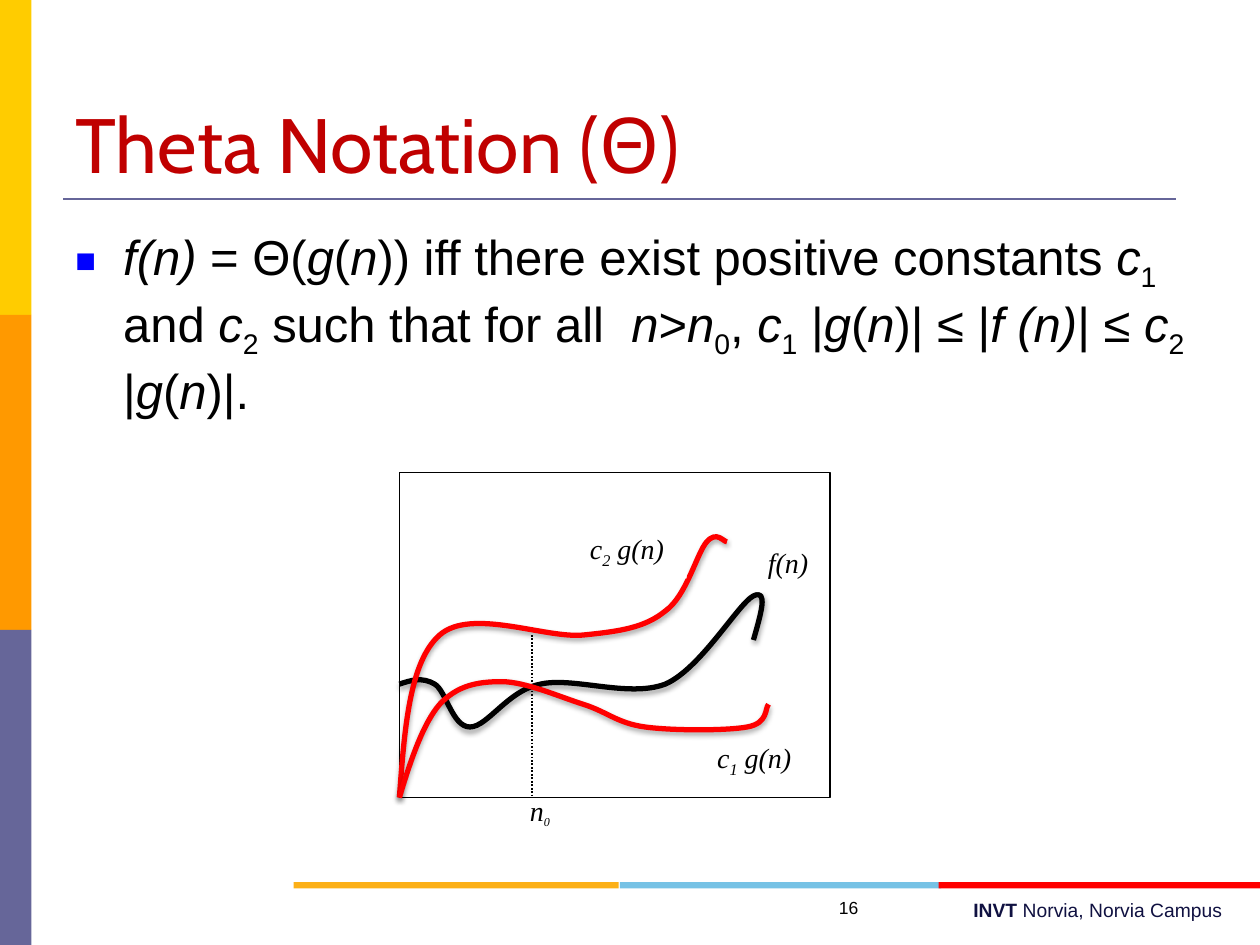
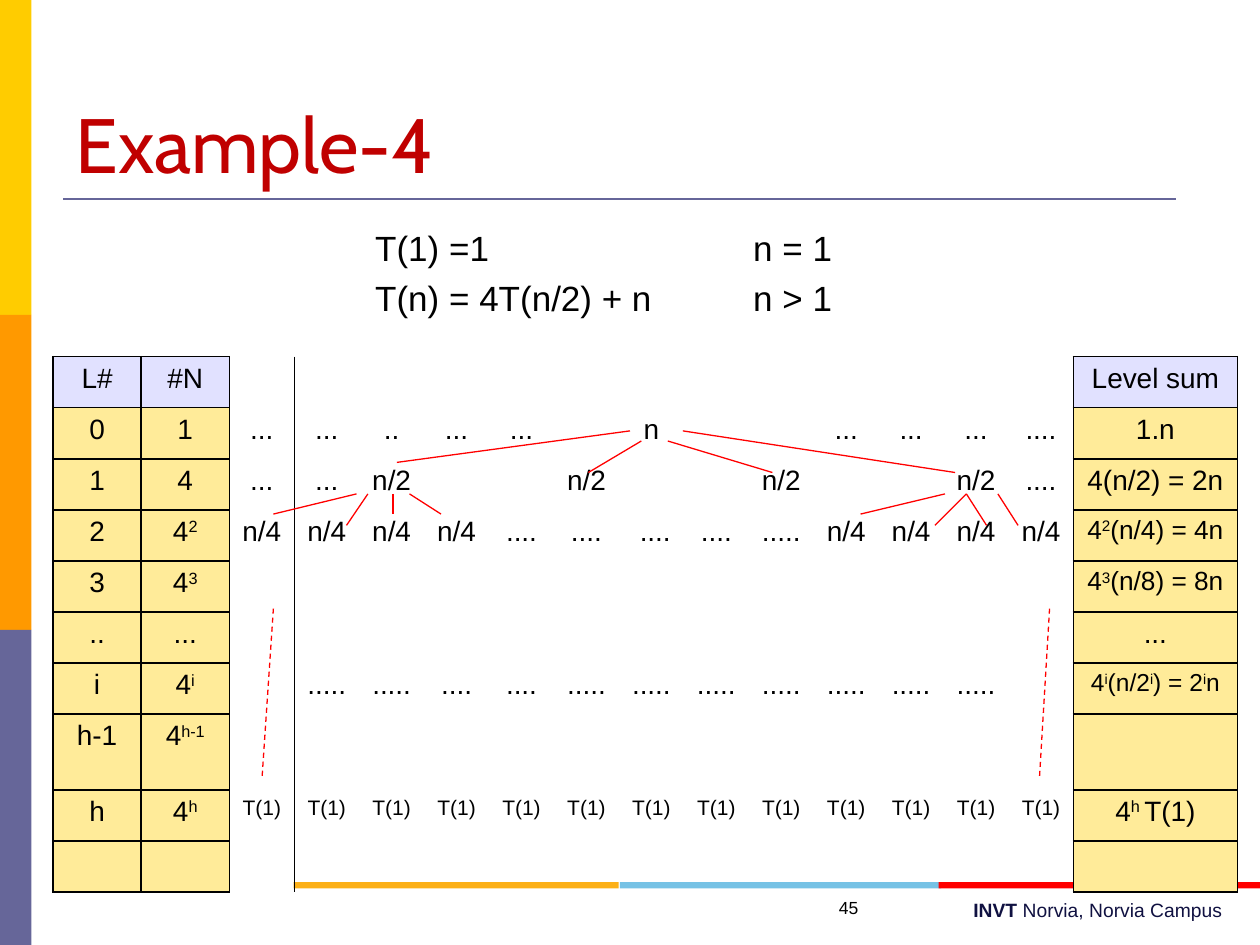
from lxml import etree
from pptx import Presentation
from pptx import util as u
from pptx.dml.color import RGBColor
from pptx.enum import dml, shapes, text
from pptx.oxml import ns

BLACK = RGBColor(0, 0, 0)
WHITE = RGBColor(255, 255, 255)
YELLOW = RGBColor(0xFF, 0xCC, 0x00)
ORANGE = RGBColor(0xFF, 0x99, 0x00)
SLATE = RGBColor(0x66, 0x66, 0x99)
AMBER = RGBColor(0xFC, 0xB0, 0x17)
SKY = RGBColor(0x76, 0xC2, 0xE5)
RED = RGBColor(0xFF, 0, 0)
NAVY = RGBColor(0x10, 0x11, 0x41)
CRIMSON = RGBColor(0xC0, 0, 0)
BLUE = RGBColor(0, 0, 0xFF)
LILAC = RGBColor(0xE1, 0xE1, 0xFF)
CREAM = RGBColor(0xFF, 0xEB, 0x99)

LEFT, CENTER, RIGHT = (text.PP_ALIGN.LEFT, text.PP_ALIGN.CENTER, text.PP_ALIGN.RIGHT)
NO_TABLE_STYLE = "{2D5ABB26-0587-4C30-8999-92F81FD0307C}"
MARKS = {"*": "italic", "@": "bold", "~": "sub", "^": "super"}


def inches(*lengths):
    return [u.Inches(length) for length in lengths]


def child(parent, tag, **attributes):
    node = etree.SubElement(parent, ns.qn(tag))
    for name, value in attributes.items():
        node.set(name, str(value))
    return node


def split_marks(marked):
    """Return (piece, active styles) pairs; * italic, @ bold, ~ subscript, ^ superscript."""
    pieces, active, piece = [], set(), ""
    for letter in marked:
        if letter not in MARKS:
            piece += letter
            continue
        if piece:
            pieces.append((piece, set(active)))
        piece = ""
        active ^= {MARKS[letter]}
    return pieces + ([(piece, active)] if piece else [])


class LectureDeck:
    """Holds the lecture style and the slide being filled."""

    def __init__(self):
        self.deck = Presentation()
        self.deck.slide_width, self.deck.slide_height = inches(10, 7.5)
        self.slide = None

    def start_slide(self, title, number):
        self.slide = self.deck.slides.add_slide(self.deck.slide_layouts[6])
        for step, color in enumerate((YELLOW, ORANGE, SLATE)):
            self.box((0, 2.5 * step, 0.25, 2.5), color)
        self.line((0.5, 1.58), (9.33, 1.58), SLATE, 1.5)
        self.words((3.38, 7.08, 6.42, 0.29), ["@INVT @Norvia, Norvia Campus"],
                   size=11, color=NAVY, align=RIGHT)
        for left, width, color in ((4.92, 2.55, SKY), (2.33, 2.58, AMBER), (7.45, 2.55, RED)):
            self.box((left, 7, width, 0.05), color)
        self.words((0.5, 0.3, 9, 1.25), [title], size=44, color=CRIMSON,
                   font="Cabin", anchor=text.MSO_ANCHOR.BOTTOM)
        self.words((4.58, 7.07, 2.33, 0.5), [number], size=10, align=RIGHT)

    def fill_paragraph(self, paragraph, marked, size, color=BLACK, font="Arial",
                       align=LEFT, script_size=None):
        paragraph.alignment = align
        for piece, active in split_marks(marked):
            run = paragraph.add_run()
            run.text = piece
            script = active & {"sub", "super"}
            style = {"name": font, "size": u.Pt(script_size if script and script_size else size),
                     "bold": "bold" in active, "italic": "italic" in active}
            for name, value in style.items():
                setattr(run.font, name, value)
            run.font.color.rgb = color
            if script:
                shift = "-25000" if "sub" in active else "30000"
                run._r.get_or_add_rPr().set("baseline", shift)

    def words(self, place, lines, anchor=text.MSO_ANCHOR.TOP, space=0, **style):
        frame = self.slide.shapes.add_textbox(*inches(*place)).text_frame
        frame.word_wrap = True
        frame.vertical_anchor = anchor
        for index, marked in enumerate(lines):
            paragraph = frame.add_paragraph() if index else frame.paragraphs[0]
            paragraph.space_before = u.Pt(space)
            self.fill_paragraph(paragraph, marked, **style)
        return frame

    def bullet(self, place, marked, size):
        paragraph = self.words(place, [marked], size=size, space=size / 5).paragraphs[0]
        properties = paragraph._p.get_or_add_pPr()
        indent = u.Inches(0.38)
        properties.set("marL", str(indent))
        properties.set("indent", str(-indent))
        child(child(properties, "a:buClr"), "a:srgbClr", val=BLUE)
        child(properties, "a:buSzPct", val=70000)
        child(properties, "a:buFont", typeface="Arial")
        child(properties, "a:buChar", char="■")

    def box(self, place, color, outline=None):
        box = self.slide.shapes.add_shape(shapes.MSO_SHAPE.RECTANGLE, *inches(*place))
        box.shadow.inherit = False
        box.fill.solid()
        box.fill.fore_color.rgb = color
        if outline is None:
            box.line.fill.background()
        else:
            box.line.color.rgb = outline
            box.line.width = u.Pt(1)
        return box

    def label(self, place, marked, script_size=None):
        frame = self.box(place, WHITE).text_frame
        for side in ("left", "right", "top", "bottom"):
            setattr(frame, f"margin_{side}", 0)
        frame.vertical_anchor = text.MSO_ANCHOR.TOP
        self.fill_paragraph(frame.paragraphs[0], marked, 16, font="Times New Roman",
                            align=CENTER, script_size=script_size)

    def line(self, start, end, color=RED, width=0.75, dash=None):
        line = self.slide.shapes.add_connector(
            shapes.MSO_CONNECTOR.STRAIGHT, *inches(*start, *end))
        line.line.color.rgb = color
        line.line.width = u.Pt(width)
        if dash:
            line.line.dash_style = dash
        child(line._element.spPr, "a:effectLst")

    def curve(self, points, color):
        """Draw a shadowed Bézier curve: a start, then three points per segment."""
        start, *rest = [inches(*point) for point in points]
        builder = self.slide.shapes.build_freeform(*start)
        builder.add_line_segments(rest, close=False)
        curve = builder.convert_to_shape()
        curve.fill.background()
        curve.line.color.rgb = color
        curve.line.width = u.Pt(3)
        segments = list(curve._element.iter(ns.qn("a:lnTo")))
        for first in range(0, len(segments), 3):
            bezier = child(segments[first].getparent(), "a:cubicBezTo")
            for segment in segments[first:first + 3]:
                bezier.append(segment[0])
                segment.getparent().remove(segment)
        curve.shadow.inherit = False
        effects = curve._element.spPr.find(ns.qn("a:effectLst"))
        shadow = child(effects, "a:outerShdw", blurRad=u.Pt(3.1), dist=u.Pt(1.8),
                       dir=5400000, rotWithShape=0)
        child(child(shadow, "a:srgbClr", val=BLACK), "a:alpha", val=35000)

    def cell_borders(self, cell, sides):
        properties = cell._tc.get_or_add_tcPr()
        for index, side in enumerate(sides):
            border = child(properties, f"a:ln{side}", w=u.Pt(1))
            child(child(border, "a:solidFill"), "a:srgbClr", val=BLACK)
            properties.insert(index, border)

    def level_table(self, place, widths, heights, rows, sizes):
        frame = self.slide.shapes.add_table(len(rows), len(widths), *inches(*place))
        table = frame.table
        table.first_row = table.horz_banding = False
        next(frame._element.iter(ns.qn("a:tableStyleId"))).text = NO_TABLE_STYLE
        for column, width in zip(table.columns, widths):
            column.width = u.Inches(width)
        for row, height in zip(table.rows, heights):
            row.height = u.Inches(height)
        last = len(widths) - 1
        for r, row in enumerate(rows):
            for c, marked in enumerate(row):
                cell = table.cell(r, c)
                cell.margin_left = cell.margin_right = u.Inches(0.05)
                self.fill_paragraph(cell.text_frame.paragraphs[0], marked,
                                    sizes.get((r, c == last), 16) if c > 1 else 16,
                                    align=CENTER)
                if c in (0, 1, last):
                    cell.fill.solid()
                    cell.fill.fore_color.rgb = CREAM if r else LILAC
                    self.cell_borders(cell, "LRTB")
                else:
                    cell.fill.background()
                    self.cell_borders(cell, {2: "L", last - 1: "R"}.get(c, ""))
        return table


def theta_slide(deck):
    deck.start_slide("Theta Notation (Θ)", "16")
    deck.bullet(
        (0.5, 1.75, 9, 4.95),
        "*f(n)* = Θ(*g*(*n*)) iff there exist positive constants *c*~1~ and *c*~2~ such that "
        "for all  *n*>*n*~0~, *c*~1~ |*g*(*n*)| ≤ |*f (n)*| ≤ *c*~2 ~|*g*(*n*)|.", 28)
    deck.label((4, 6.3, 0.57, 0.37), "*n~0~*", script_size=12)
    deck.box((3.17, 3.75, 3.42, 2.58), WHITE, BLACK)
    origin = (3.17, 6.33)
    deck.curve([(3.17, 5.43), (3.26, 5.4), (3.35, 5.37), (3.45, 5.43),
                (3.54, 5.48), (3.59, 5.77), (3.73, 5.77), (3.87, 5.77), (4.03, 5.48),
                (4.29, 5.43), (4.55, 5.37), (4.99, 5.54), (5.28, 5.43), (5.56, 5.31),
                (5.86, 4.79), (5.98, 4.73), (6.1, 4.67), (6.04, 4.87), (5.98, 5.08)], BLACK)
    deck.line((4.22, 5.04), (4.22, 6.33), BLACK, 1, dml.MSO_LINE.ROUND_DOT)
    deck.curve([origin, (3.21, 5.79), (3.25, 5.25), (3.49, 5.04), (3.74, 4.82),
                (4.33, 5.07), (4.63, 5.04), (4.93, 5.01), (5.12, 4.98), (5.28, 4.85),
                (5.45, 4.73), (5.53, 4.39), (5.61, 4.3), (5.69, 4.21), (5.74, 4.3),
                (5.77, 4.3)], RED)
    deck.curve([origin, (3.26, 6.03), (3.36, 5.74), (3.49, 5.59), (3.63, 5.44),
                (3.79, 5.41), (3.98, 5.41), (4.17, 5.41), (4.44, 5.53), (4.63, 5.59),
                (4.82, 5.65), (4.9, 5.74), (5.12, 5.77), (5.34, 5.8), (5.77, 5.8),
                (5.93, 5.77), (6.1, 5.74), (6.07, 5.62), (6.1, 5.59)], RED)
    deck.label((4.5, 4.22, 0.95, 0.37), "*c~2~ g(n)*")
    deck.label((5.51, 5.88, 0.95, 0.38), "*c~1~ g(n)*")
    deck.label((6, 4.33, 0.51, 0.37), "*f(n)*")


def recursion_slide(deck):
    deck.start_slide("Example-4", "45")
    deck.words((2.88, 1.75, 2.9, 0.9), ["T(1) =1", "T(n) = 4T(n/2) + n"], size=20, space=4.6)
    deck.words((5.88, 1.75, 1.5, 0.9), ["n = 1", "n > 1"], size=20, space=4.6)

    blank = [""] * 13
    quarter, dots = "n/4", "....."
    rows = [
        ["L#", "#N", *blank, "Level sum"],
        ["0", "1", "...", "...", "..", "...", "...", "", "n", "", "",
         "...", "...", "...", "....", "1.n"],
        ["1", "4", "...", "...", "n/2", "", "", "n/2", "", "", "n/2",
         "", "", "n/2", "....", "4(n/2) = 2n"],
        ["2", "4^2^", *[quarter] * 4, "....", "....", " ....", "....", dots,
         *[quarter] * 4, "4^2^(n/4) = 4n"],
        ["3", "4^3^", *blank, "4^3^(n/8) = 8n"],
        ["..", "...", *blank, "..."],
        ["i", "4^i^", "", dots, dots, "....", "....", *[dots] * 7, "", "4^i^(n/2^i^) = 2^i^n"],
        ["h-1", "4^h-1^", *blank, ""],
        ["h", "4^h^", *["T(1)"] * 13, "4^h ^T(1)"],
        ["", "", *blank, ""],
    ]
    heights = [3.65 / 9] * 10
    heights[7] = 0.6
    sizes = {(3, True): 15, (4, True): 15, (6, True): 14, (8, False): 12}
    table = deck.level_table((0.42, 2.83, 9.4, 4.25), [0.7, 0.7, *[6.7 / 13] * 13, 1.3],
                             heights, rows, sizes)
    table.cell(2, 11).merge(table.cell(2, 12))

    for start, end in (((5, 3.42), (3.15, 3.67)), ((5.3, 3.5), (6.13, 3.75)),
                       ((5.09, 3.5), (4.67, 3.75)), ((5.42, 3.42), (7.58, 3.75))):
        deck.line(start, end)
    for top, bottom in ((2.17, 2.08), (8.33, 8.25)):
        deck.line((top, 4.83), (bottom, 6.17), dash=dml.MSO_LINE.DASH)
    for parent, leaf, leaf_top in (
            (2.83, 2.17, 4.08), (2.92, 2.75, 4.17), (3.12, 3.12, 4.08), (3.25, 3.5, 4.08),
            (7.5, 6.83, 4.08), (7.67, 7.42, 4.17), (7.67, 7.83, 4.17), (7.92, 8.08, 4.17)):
        deck.line((parent, 3.92), (leaf, leaf_top))


def main():
    lecture = LectureDeck()
    theta_slide(lecture)
    recursion_slide(lecture)
    lecture.deck.save("out.pptx")


if __name__ == "__main__":
    main()
